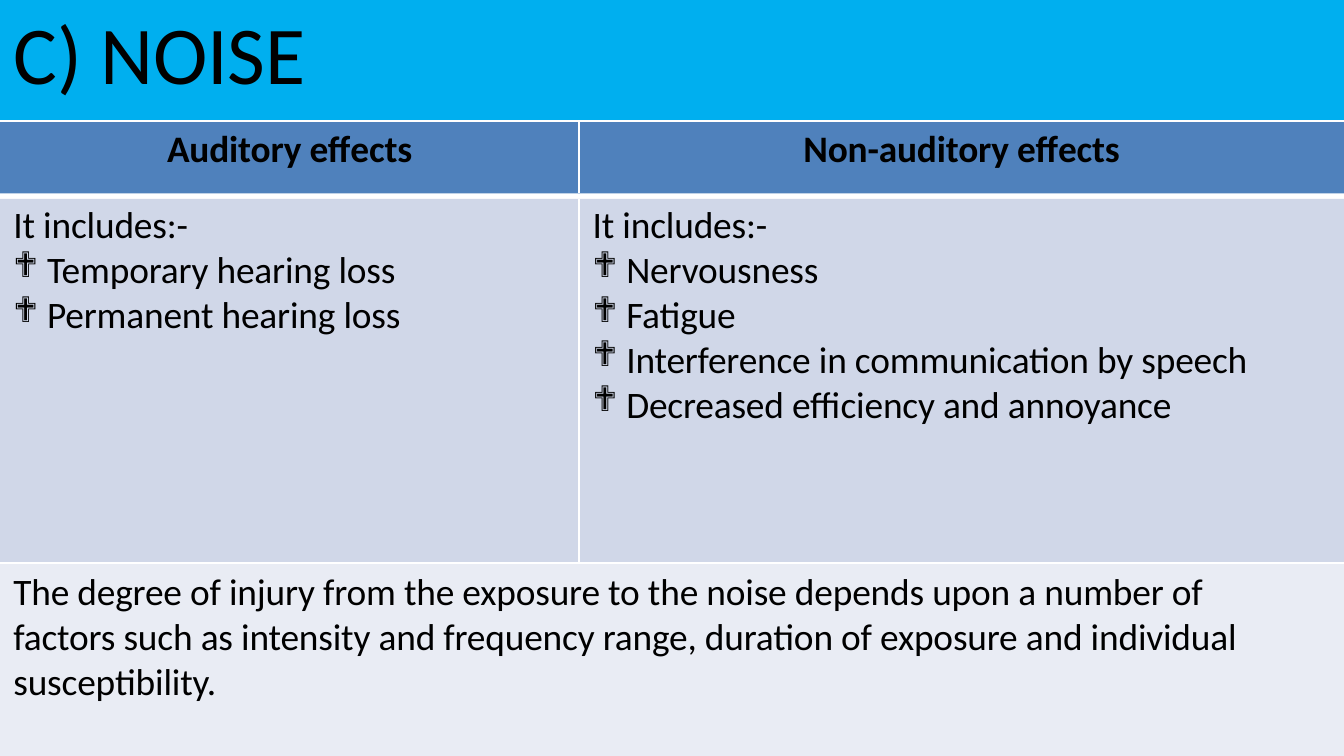
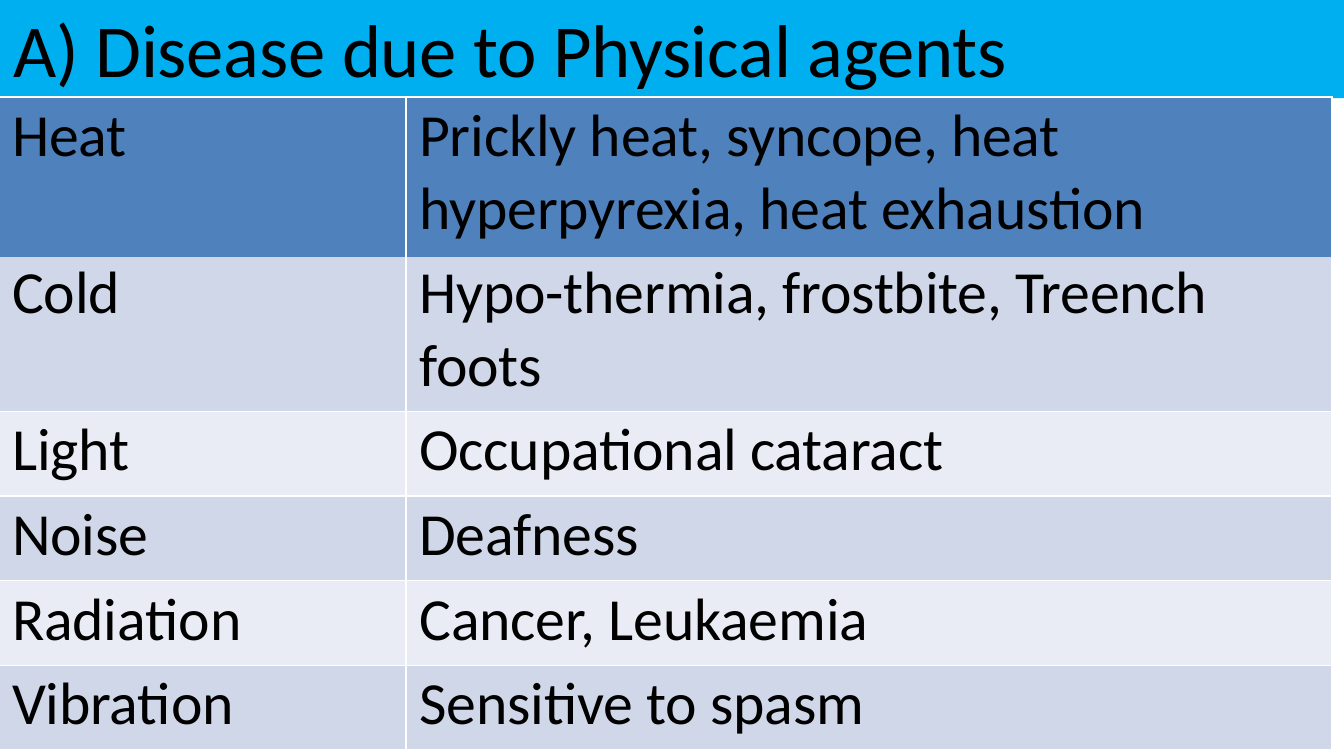
from lxml import etree
from pptx import Presentation
from pptx.dml.color import RGBColor
from pptx.enum.shapes import MSO_CONNECTOR, MSO_SHAPE
from pptx.enum.text import MSO_ANCHOR, MSO_AUTO_SIZE, PP_ALIGN
from pptx.oxml.ns import qn
from pptx.util import Inches, Pt

RECTANGLE = MSO_SHAPE.RECTANGLE
STRAIGHT = MSO_CONNECTOR.STRAIGHT
TOP = MSO_ANCHOR.TOP
NO_AUTOFIT = MSO_AUTO_SIZE.NONE
LEFT, CENTER = PP_ALIGN.LEFT, PP_ALIGN.CENTER

BAND_BLUE = RGBColor(0x00, 0xAF, 0xEF)
HEADER_BLUE = RGBColor(0x4F, 0x81, 0xBC)
ROW_DARK = RGBColor(0xD0, 0xD7, 0xE8)
ROW_LIGHT = RGBColor(0xE9, 0xEC, 0xF4)
WHITE = RGBColor(0xFF, 0xFF, 0xFF)
BLACK = RGBColor(0x00, 0x00, 0x00)

FONT = "Calibri"
TITLE_ONLY = 5
W = Inches(10)
H = W * 9 // 16
PAD = Inches(0.1)
BULLET_INDENT = Inches(0.25)
TIGHTER = "-10"


def add_run(p, text, size, bold=False):
    r = p.add_run()
    r.text = text
    r.font.name = FONT
    r.font.size = Pt(size)
    r.font.bold = bold
    r.font.color.rgb = BLACK
    r._r.get_or_add_rPr().set("spc", TIGHTER)


def add_bullet(p):
    pPr = p._p.get_or_add_pPr()
    pPr.set("marL", str(BULLET_INDENT))
    pPr.set("indent", str(-BULLET_INDENT))
    etree.SubElement(pPr, qn("a:buSzPct")).set("val", "95000")
    etree.SubElement(pPr, qn("a:buFont")).set("typeface", "Wingdings")
    etree.SubElement(pPr, qn("a:buChar")).set("char", "❖")


def write_lines(tf, lines, size, bullets=(), bold=False, align=LEFT):
    """Write plain lines, then bulleted ones, each as a paragraph."""
    for i, text in enumerate((*lines, *bullets)):
        p = tf.add_paragraph() if i else tf.paragraphs[0]
        p.alignment = align
        if i >= len(lines):
            add_bullet(p)
        add_run(p, text, size, bold)


def set_frame(tf, top_margin, wrap):
    tf.auto_size = NO_AUTOFIT
    tf.word_wrap = wrap
    tf.vertical_anchor = TOP
    tf.margin_left = tf.margin_right = tf.margin_bottom = 0
    tf.margin_top = top_margin


def add_panel(s, box, color):
    panel = s.shapes.add_shape(RECTANGLE, *box)
    panel.shadow.inherit = False
    panel.fill.solid()
    panel.fill.fore_color.rgb = color
    panel.line.fill.background()
    return panel


def add_rule(s, x1, y1, x2, y2):
    rule = s.shapes.add_connector(STRAIGHT, x1, y1, x2, y2)
    rule.line.color.rgb = WHITE
    rule.line.width = Pt(1)
    etree.SubElement(rule._element.spPr, qn("a:effectLst"))


def add_text(s, box, lines, bullets=(), bold=False, align=LEFT, wrap=True):
    tf = s.shapes.add_textbox(*box).text_frame
    set_frame(tf, Inches(0.02), wrap)
    write_lines(tf, lines, 20, bullets, bold, align)


def add_title_slide(prs, text, size, band_height, title_width):
    """Start a slide with its title on a full-width blue band."""
    s = prs.slides.add_slide(prs.slide_layouts[TITLE_ONLY])
    title = s.shapes.title
    band = add_panel(s, (0, 0, W, band_height), BAND_BLUE)
    title._element.addprevious(band._element)
    title.left, title.top = PAD, 0
    title.width, title.height = title_width, int(band_height * 0.9)
    set_frame(title.text_frame, Inches(0.02), False)
    write_lines(title.text_frame, (text,), size)
    return s


def add_effect_column(s, box, header_height, heading, heading_width, effects):
    """Place a header panel and, below a thin gap, a panel of effects."""
    left, top, width, height = box
    body_top = top + header_height + Inches(0.04)
    body_height = top + height - body_top
    add_panel(s, (left, top, width, header_height), HEADER_BLUE)
    add_panel(s, (left, body_top, width, body_height), ROW_DARK)
    add_text(s, (left + (width - heading_width) // 2, top + Inches(0.01),
                 heading_width, Inches(0.36)),
             (heading,), bold=True, align=CENTER, wrap=False)
    add_text(s, (left + PAD, body_top, width - 2 * PAD,
                 Inches(0.35) * (len(effects) + 1)),
             ("It includes:-",), effects)
    if left:
        add_rule(s, left, top, left, top + header_height)
        add_rule(s, left, body_top, left, top + height)


def build_noise_slide(prs):
    band, split, note_top = int(H * 0.16), int(W * 0.431), int(H * 0.745)
    s = add_title_slide(prs, "C) NOISE", 44, band, int(W * 0.22))
    columns = [
        (0, split, "Auditory effects", 1.87,
         ("Temporary hearing loss", "Permanent hearing loss")),
        (split, W - split, "Non-auditory effects", 2.41,
         ("Nervousness", "Fatigue",
          "Interference in communication by speech",
          "Decreased efficiency and annoyance")),
    ]
    for left, width, heading, heading_width, effects in columns:
        add_effect_column(s, (left, band, width, note_top - band),
                          Inches(0.54), heading, Inches(heading_width),
                          effects)
    add_panel(s, (0, note_top, W, H - note_top), ROW_LIGHT)
    add_text(s, (PAD, note_top + Inches(0.02), int(W * 0.93), Inches(1.03)),
             ("The degree of injury from the exposure to the noise depends "
              "upon a number of factors such as intensity and frequency "
              "range, duration of exposure and individual susceptibility.",))
    for y in (band, note_top):
        add_rule(s, 0, y, W, y)


def set_border(cell, side, visible):
    """Draw one white cell edge (L, R, T or B), or hide it."""
    tcPr = cell._tc.get_or_add_tcPr()
    ln = etree.SubElement(tcPr, qn(f"a:ln{side}"), w=str(Pt(1)))
    if visible:
        fill = etree.SubElement(ln, qn("a:solidFill"))
        etree.SubElement(fill, qn("a:srgbClr"), val=str(WHITE))
    else:
        etree.SubElement(ln, qn("a:noFill"))


def add_disease_table(s, box, col_shares, row_shares, diseases):
    left, top, width, height = box
    table = s.shapes.add_table(len(row_shares), len(col_shares),
                               left, top, width, height).table
    table.first_row = table.horz_banding = False
    for col, share in zip(table.columns, col_shares):
        col.width = int(width * share / sum(col_shares))
    for row, share in zip(table.rows, row_shares):
        row.height = int(height * share / sum(row_shares))

    for i, (agent, *effects) in enumerate(diseases):
        for j, lines in enumerate(([agent], effects)):
            cell = table.cell(i, j)
            for side, visible in zip("LRTB", (True, True, i != 1, i != 0)):
                set_border(cell, side, visible)
            cell.fill.solid()
            band_color = ROW_DARK if i % 2 else ROW_LIGHT
            cell.fill.fore_color.rgb = band_color if i else HEADER_BLUE
            cell.margin_left = PAD
            cell.margin_right = cell.margin_bottom = 0
            cell.margin_top = 0 if i == 1 else Inches(0.02)
            cell.vertical_anchor = TOP
            write_lines(cell.text_frame, lines, 32)


def build_physical_agents_slide(prs):
    band = int(H * 0.13)
    s = add_title_slide(prs, "A) Disease due to Physical agents", 40, band,
                        int(W * 0.75))
    diseases = [
        ("Heat", "Prickly heat, syncope, heat",
         "hyperpyrexia, heat exhaustion"),
        ("Cold", "Hypo-thermia, frostbite, Treench foots"),
        ("Light", "Occupational cataract"),
        ("Noise", "Deafness"),
        ("Radiation", "Cancer, Leukaemia"),
        ("Vibration", "Sensitive to spasm"),
    ]
    edge = Inches(0.01)
    box = (-edge, band - edge, int(W * 0.992), Inches(4.86))
    add_disease_table(s, box, (3.03, 6.89), (1.19, 1.15) + (0.63,) * 4,
                      diseases)


def main():
    prs = Presentation()
    prs.slide_width, prs.slide_height = W, H
    build_noise_slide(prs)
    build_physical_agents_slide(prs)
    prs.save("out.pptx")


if __name__ == "__main__":
    main()
